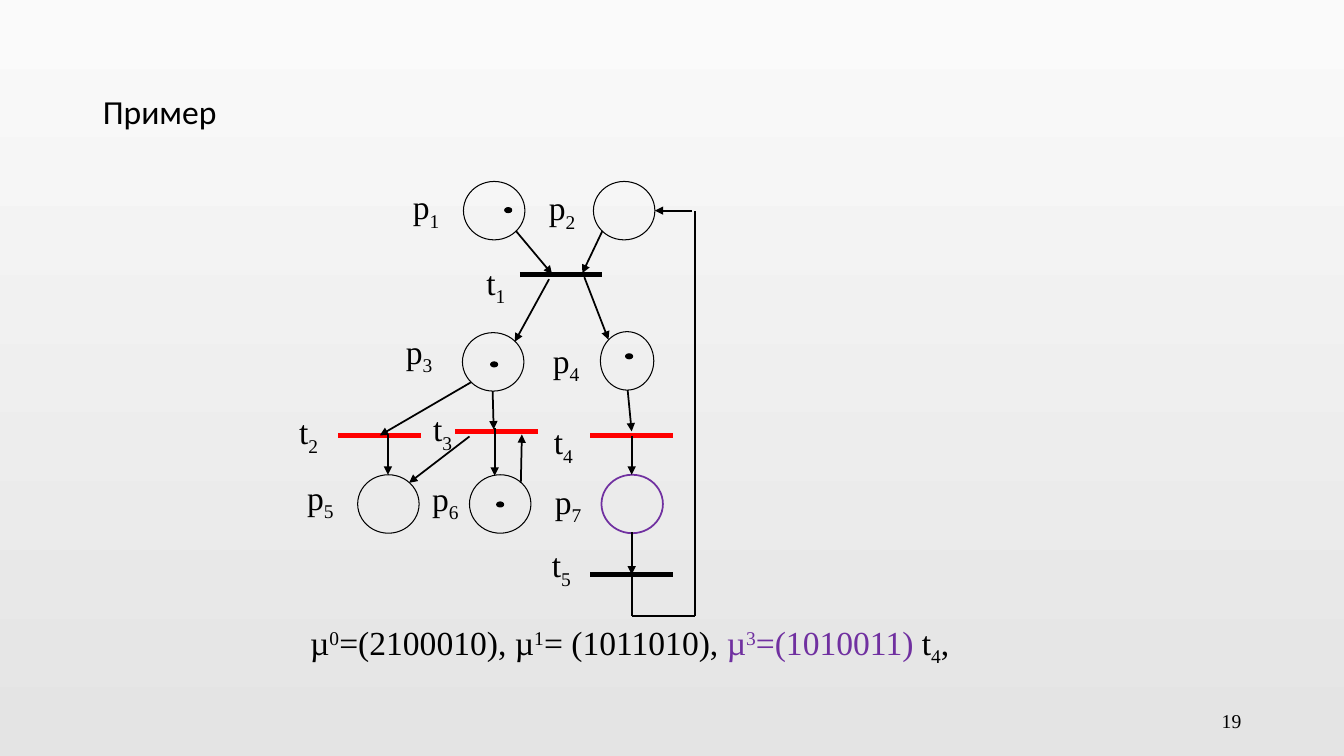
from dataclasses import dataclass

import lxml.etree
import pptx
import pptx.dml.color
import pptx.enum.shapes
import pptx.enum.text
import pptx.oxml.ns
import pptx.slide
import pptx.text.text
import pptx.util

RGBColor = pptx.dml.color.RGBColor
BLACK = RGBColor(0x00, 0x00, 0x00)
RED = RGBColor(0xFF, 0x00, 0x00)
PURPLE = RGBColor(0x70, 0x30, 0xA0)
BACKGROUND = (RGBColor(0xFA, 0xFA, 0xFA), RGBColor(0xE4, 0xE4, 0xE4))

EMU_PER_PX = 9144  # 100 px to the inch
SERIF = "Times New Roman"
SUPER, SUB = 30000, -25000
LABEL_HEIGHT = 56
THIN, MEDIUM, THICK = 0.75, 1.25, 3.5

LEFT = pptx.enum.text.PP_ALIGN.LEFT
RIGHT = pptx.enum.text.PP_ALIGN.RIGHT
TOP = pptx.enum.text.MSO_ANCHOR.TOP
MIDDLE = pptx.enum.text.MSO_ANCHOR.MIDDLE


@dataclass(frozen=True)
class Place:
    left: int
    top: int
    width: int = 61
    height: int = 58
    color: RGBColor = BLACK
    weight: float = THIN
    filled: bool = False


@dataclass(frozen=True)
class Segment:
    x1: int
    y1: int
    x2: int
    y2: int
    arrow: bool = True
    color: RGBColor = BLACK
    weight: float = MEDIUM


@dataclass(frozen=True)
class Label:
    letter: str
    index: int
    left: int
    top: int
    width: int = 60


@dataclass(frozen=True)
class Piece:
    text: str
    baseline: int = 0
    color: RGBColor = BLACK


PLACES = [
    Place(460, 180), Place(589, 180), Place(459, 330), Place(596, 329, 53),
    Place(355, 471), Place(466, 471), Place(597, 471, color=PURPLE, weight=MEDIUM),
]
TOKENS = [(501, 206), (487, 359), (621, 351), (493, 498)]
TRANSITIONS = [(516, 272, BLACK), (336, 432, RED), (452, 428, RED),
               (586, 432, RED), (586, 570, BLACK)]
TRANSITION_WIDTH = 82
ARCS = [
    Segment(512, 229, 548, 272), Segment(598, 229, 578, 271),  # p1, p2 to t1
    Segment(545, 277, 511, 339), Segment(580, 275, 604, 337),  # t1 to p3, p4
    Segment(468, 379, 377, 432), Segment(489, 388, 490, 426),  # p3 to t2, t3
    Segment(623, 387, 627, 428),  # p4 to t4
    Segment(385, 432, 385, 471),  # t2 to p5
    Segment(466, 433, 406, 479), Segment(491, 425, 491, 472),  # t3 to p5, p6
    Segment(517, 479, 518, 431),  # p6 to t3
    Segment(627, 433, 627, 471), Segment(627, 528, 627, 570),  # t4, p7, t5
    Segment(627, 570, 627, 611, False), Segment(627, 611, 690, 611, False),
    Segment(690, 611, 690, 209, False), Segment(687, 209, 650, 209),  # t5 to p2
]
LABELS = [
    Label("p", 1, 400, 180), Label("p", 2, 535, 181), Label("p", 3, 393, 323),
    Label("p", 4, 539, 332), Label("p", 5, 295, 468), Label("p", 6, 419, 469),
    Label("p", 7, 541, 472), Label("t", 1, 473, 255), Label("t", 2, 287, 403),
    Label("t", 3, 420, 400), Label("t", 4, 540, 413), Label("t", 5, 538, 535),
]
MARKINGS = [
    Piece("µ"), Piece("0", SUPER), Piece("=(2100010), µ"), Piece("1", SUPER),
    Piece("= (1011010), "), Piece("µ", color=PURPLE), Piece("3", SUPER, PURPLE),
    Piece("=(1010011) ", color=PURPLE), Piece("t"), Piece("4", SUB), Piece(","),
]


def px(length: int) -> int:
    return pptx.util.Emu(length * EMU_PER_PX)


def apply_format(target: object, values: dict[str, object]) -> None:
    for name, value in values.items():
        setattr(target, name, value)


def write(frame: pptx.text.text.TextFrame, pieces: list[Piece], size: int = 24,
          font: str = SERIF, align: int = LEFT, anchor: int = TOP) -> None:
    apply_format(frame, {
        "word_wrap": True, "auto_size": pptx.enum.text.MSO_AUTO_SIZE.NONE,
        "vertical_anchor": anchor, "margin_left": px(10), "margin_right": px(10),
        "margin_top": px(5), "margin_bottom": px(5),
    })
    paragraph = frame.paragraphs[0]
    paragraph.alignment = align
    for piece in pieces:
        run = paragraph.add_run()
        run.text = piece.text
        apply_format(run.font, {"name": font, "size": pptx.util.Pt(size)})
        run.font.color.rgb = piece.color
        if piece.baseline:
            run.font._element.set("baseline", str(piece.baseline))


def add_text(slide: pptx.slide.Slide, box: tuple[int, int, int, int],
             pieces: list[Piece], size: int = 24, align: int = LEFT,
             anchor: int = TOP) -> None:
    text_box = slide.shapes.add_textbox(*map(px, box))
    write(text_box.text_frame, pieces, size, align=align, anchor=anchor)


def add_place(slide: pptx.slide.Slide, place: Place) -> None:
    oval = slide.shapes.add_shape(
        pptx.enum.shapes.MSO_SHAPE.OVAL,
        *map(px, (place.left, place.top, place.width, place.height)))
    oval.shadow.inherit = False
    if place.filled:
        oval.fill.solid()
        oval.fill.fore_color.rgb = place.color
    else:
        oval.fill.background()
    oval.line.color.rgb = place.color
    oval.line.width = pptx.util.Pt(place.weight)


def add_segment(slide: pptx.slide.Slide, segment: Segment) -> None:
    connector = slide.shapes.add_connector(
        pptx.enum.shapes.MSO_CONNECTOR.STRAIGHT,
        *map(px, (segment.x1, segment.y1, segment.x2, segment.y2)))
    connector.line.color.rgb = segment.color
    connector.line.width = pptx.util.Pt(segment.weight)
    qn = pptx.oxml.ns.qn
    properties = connector._element.spPr
    if segment.arrow:
        lxml.etree.SubElement(properties.find(qn("a:ln")), qn("a:tailEnd"), type="triangle")
    lxml.etree.SubElement(properties, qn("a:effectLst"))


def main() -> None:
    presentation = pptx.Presentation()
    apply_format(presentation, {"slide_width": px(1334), "slide_height": px(750)})
    slide = presentation.slides.add_slide(presentation.slide_layouts[5])

    # Background
    background = slide.background.fill
    background.gradient()
    background.gradient_angle = 270
    for stop, color in zip(background.gradient_stops, BACKGROUND):
        stop.color.rgb = color

    # Title and slide number
    title = slide.shapes.title
    apply_format(title, {"left": px(92), "top": px(40), "width": px(1150), "height": px(145)})
    write(title.text_frame, [Piece("Пример")], font="Calibri", anchor=MIDDLE)
    title.text_frame.paragraphs[0].line_spacing = 0.9
    add_text(slide, (942, 695, 300, 40), [Piece("19")], 14, RIGHT, MIDDLE)

    # Petri net
    for place in PLACES:
        add_place(slide, place)
    for left, y, color in TRANSITIONS:
        add_segment(slide, Segment(left, y, left + TRANSITION_WIDTH, y, False, color, THICK))
    for arc in ARCS:
        add_segment(slide, arc)
    for left, top in TOKENS:
        add_place(slide, Place(left, top, 7, 5, filled=True))

    # Labels and markings
    for label in LABELS:
        add_text(slide, (label.left, label.top, label.width, LABEL_HEIGHT),
                 [Piece(label.letter), Piece(str(label.index), SUB)])
    add_text(slide, (298, 612, 818, LABEL_HEIGHT), MARKINGS)

    presentation.save("out.pptx")


if __name__ == "__main__":
    main()
